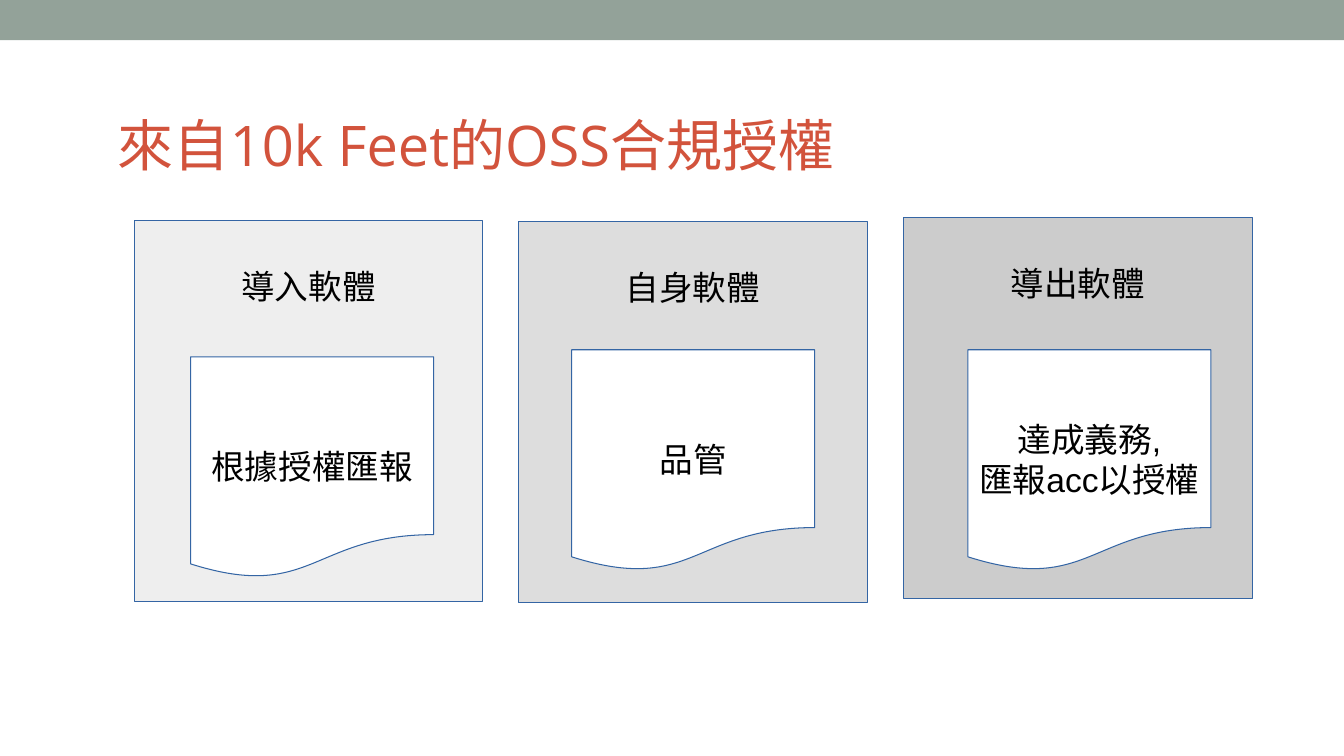
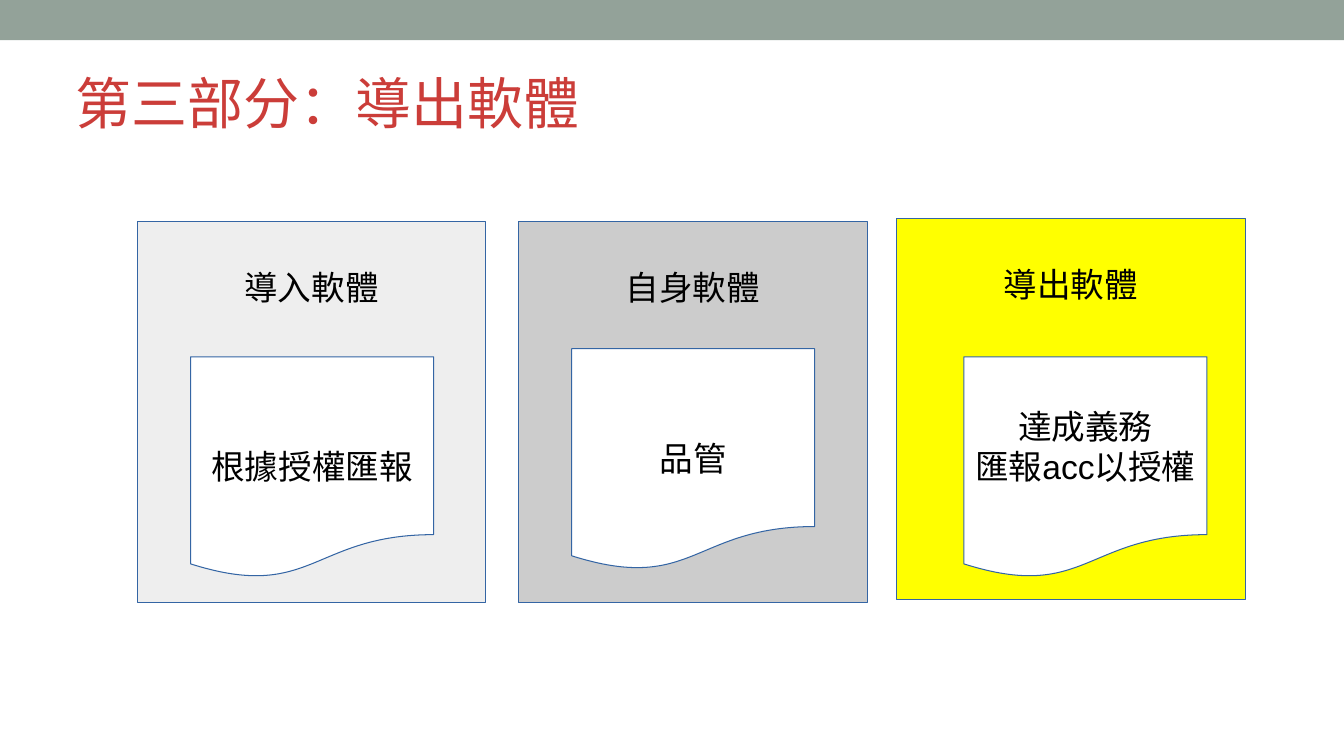
from pptx import Presentation
from pptx.dml.color import RGBColor
from pptx.enum.shapes import MSO_SHAPE as Preset
from pptx.enum.text import MSO_ANCHOR as Anchor, MSO_AUTO_SIZE as AutoSize, PP_ALIGN as Align
from pptx.util import Inches, Pt


def rgb(hex_code):
    return RGBColor.from_string(hex_code)


class Deck:
    CELL = 0.1  # side of one grid cell, in inches
    COLS, ROWS = 133.3, 75
    BAND, OUTLINE, WHITE, BLACK = "93A299", "3465A4", "FFFFFF", "000000"
    CARD = (34.6, 37.8)  # columns, rows
    DOCUMENT = (24.1, 22)
    LINE = 4  # rows in one line of card text

    def __init__(self):
        self.show = Presentation()
        self.show.slide_width = self.cells(self.COLS)
        self.show.slide_height = self.cells(self.ROWS)
        self.layout = self.show.slide_layouts.get_by_name("Title Only")
        self.slide = None

    def cells(self, count):
        return Inches(count * self.CELL)

    def new_slide(self):
        first = self.slide is None
        self.slide = self.show.slides.add_slide(self.layout)
        if first:
            # The top band lives on the layout, behind everything
            band = self.block(Preset.RECTANGLE, 0, 0, (self.COLS, 4), self.BAND)
            self.layout.shapes.element.insert(2, band.element)

    def title(self, col, row, words, color):
        title = self.slide.shapes.title
        title.left, title.top = self.cells(col), self.cells(row)
        title.width, title.height = self.cells(120), self.cells(11.5)
        self.fill_text(title.text_frame, [words], Align.LEFT, Anchor.BOTTOM,
                       "Open Sans", 40, color, (0, 0, 0, 0))

    def block(self, preset, col, row, size, fill, outline=None):
        block = self.slide.shapes.add_shape(
            preset, *(self.cells(n) for n in (col, row, *size)))
        block.shadow.inherit = False
        block.fill.solid()
        block.fill.fore_color.rgb = rgb(fill)
        if outline:
            block.line.color.rgb = rgb(outline)
            block.line.width = Pt(0.75)
        else:
            block.line.fill.background()
        return block

    def fill_text(self, frame, lines, align, anchor, font, size, color, insets):
        frame.word_wrap = True
        frame.auto_size = AutoSize.NONE
        frame.vertical_anchor = anchor
        (frame.margin_left, frame.margin_top,
         frame.margin_right, frame.margin_bottom) = map(self.cells, insets)
        for number, line in enumerate(lines):
            paragraph = frame.add_paragraph() if number else frame.paragraphs[0]
            paragraph.alignment = align
            run = paragraph.add_run()
            run.text = line
            run.font.name, run.font.size = font, Pt(size)
            run.font.color.rgb = rgb(color)

    def label(self, block, lines, anchor, drop):
        """Centred black text, lowered by a number of text lines."""
        insets = (1, 0.5 + drop * self.LINE, 1, 0.5)
        self.fill_text(block.text_frame, lines, Align.CENTER, anchor,
                       "Arial", 24, self.BLACK, insets)

    def card(self, col, row, fill, heading):
        card = self.block(Preset.RECTANGLE, col, row, self.CARD, fill, self.OUTLINE)
        self.label(card, [heading], Anchor.TOP, 1)

    def document(self, col, row, lines, drop=1):
        page = self.block(Preset.FLOWCHART_DOCUMENT, col, row, self.DOCUMENT,
                          self.WHITE, self.OUTLINE)
        self.label(page, lines, Anchor.MIDDLE, drop)


INBOUND, OWN, OUTBOUND = "導入軟體", "自身軟體", "導出軟體"
REPORT, QUALITY = ["根據授權匯報"], ["品管"]
REPORT_OUT = "匯報acc以授權"

# Title, then cards (col, row, fill, heading) and documents (col, row, lines, drop)
SLIDES = [
    ((11.7, 6.1, "來自10k Feet的OSS合規授權", "D2533C"),
     [(13.3, 21.9, "EEEEEE", INBOUND),
      (51.4, 22, "DDDDDD", OWN),
      (89.6, 21.6, "CCCCCC", OUTBOUND)],
     [(18.9, 35.4, REPORT),
      (56.7, 34.7, QUALITY),
      (96, 34.7, ["達成義務,", REPORT_OUT])]),
    ((7.5, 2, "第三部分：導出軟體", "CB3D39"),
     [(13.6, 22, "EEEEEE", INBOUND),
      (51.4, 22, "CCCCCC", OWN),
      (88.9, 21.7, "FFFF00", OUTBOUND)],
     [(18.9, 35.4, REPORT),
      (56.7, 34.6, QUALITY),
      (95.6, 35.4, ["達成義務", REPORT_OUT], 0)]),
]


def main():
    deck = Deck()
    for title, cards, documents in SLIDES:
        deck.new_slide()
        deck.title(*title)
        for card in cards:
            deck.card(*card)
        for document in documents:
            deck.document(*document)
    deck.show.save("out.pptx")


if __name__ == "__main__":
    main()
